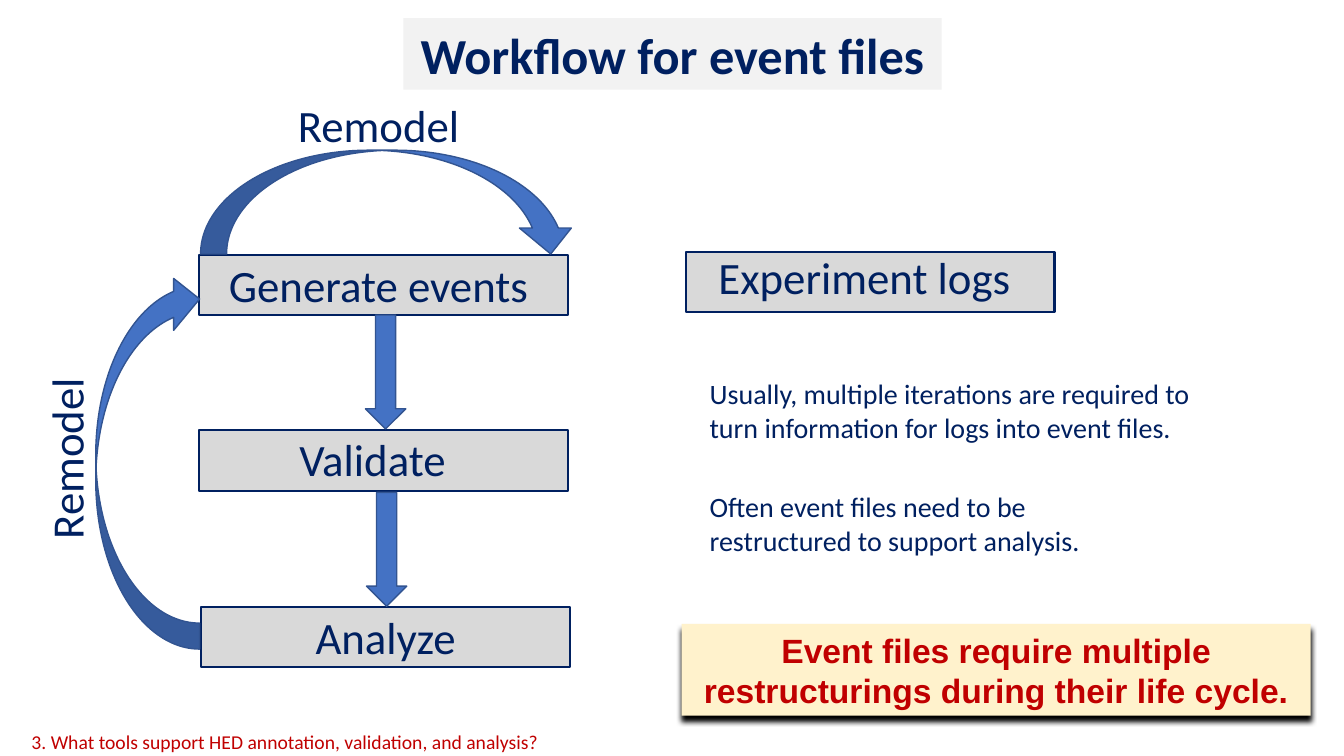
import pptx
import pptx.util
import pptx.dml.color
import pptx.enum.shapes
import pptx.enum.text
import pptx.oxml
import pptx.oxml.ns

Inches = pptx.util.Inches
Pt = pptx.util.Pt
Kind = pptx.enum.shapes.MSO_SHAPE
Align = pptx.enum.text.PP_ALIGN
Anchor = pptx.enum.text.MSO_ANCHOR

COLORS = {
    "navy": "002060",
    "red": "C00000",
    "box": "D9D9D9",
    "title": "F2F2F2",
    "cream": "FFF2CC",
    "blue": "4472C4",
    "edge": "325491",
}
BOX_W, BOX_H = 3.66, 0.6
TEXT_H = 0.64


def color(name):
    return pptx.dml.color.RGBColor.from_string(COLORS[name])


def paint(shape, fill, line=None, width=1):
    shape.fill.solid()
    shape.fill.fore_color.rgb = color(fill)
    if line:
        shape.line.color.rgb = color(line)
        shape.line.width = Pt(width)
    else:
        shape.line.fill.background()


def write(shape, text, size, ink="navy", align=Align.CENTER,
          face="Calibri", bold=False, anchor=Anchor.TOP):
    frame = shape.text_frame
    frame.word_wrap = True
    frame.auto_size = pptx.enum.text.MSO_AUTO_SIZE.NONE
    frame.vertical_anchor = anchor
    frame.text = text
    para = frame.paragraphs[0]
    para.alignment = align
    font = para.runs[0].font
    font.name = face
    font.size = Pt(size)
    font.bold = bold
    font.color.rgb = color(ink)


def add_shape(shapes, kind, area, fill, line=None, width=1):
    shape = shapes.add_shape(kind, *map(Inches, area))
    shape.shadow.inherit = False
    paint(shape, fill, line, width)
    return shape


def add_text(shapes, text, area, size, turn=0, **style):
    box = shapes.add_textbox(*map(Inches, area))
    box.rotation = turn
    write(box, text, size, **style)


def add_step(shapes, text, left, top, area):
    group = shapes.add_group_shape()
    add_shape(group.shapes, Kind.RECTANGLE, (left, top, BOX_W, BOX_H),
              "box", "navy", 1.5)
    add_text(group.shapes, text, area, 32)


def add_arrow(shapes, left, top):
    arrow = add_shape(shapes, Kind.LEFT_ARROW, (left, top, 1.13, 0.4),
                      "blue", "edge")
    arrow.rotation = 270


def add_loop(shapes, left, top, turn=0):
    loop = add_shape(shapes, Kind.CURVED_RIGHT_ARROW,
                     (left, top, 1.03, 3.73), "blue", "edge")
    loop.rotation = turn
    loop._element.spPr.xfrm.set("flipV", "1")


def add_title(slide, text):
    title = slide.shapes.title
    title.left, title.top = Inches(4), Inches(0.18)
    title.width, title.height = Inches(5.34), Inches(0.71)
    paint(title, "title")
    write(title, text, 36, bold=True, anchor=Anchor.MIDDLE)


def add_callout(shapes, text):
    box = add_shape(shapes, Kind.RECTANGLE, (6.76, 6.19, 6.24, 0.91), "cream")
    effects = box._element.spPr.find(pptx.oxml.ns.qn("a:effectLst"))
    effects.append(pptx.oxml.parse_xml(
        f'<a:outerShdw {pptx.oxml.ns.nsdecls("a")} blurRad="50800" '
        'dist="50800" dir="5400000" algn="t" rotWithShape="0">'
        '<a:srgbClr val="000000"/></a:outerShdw>'))
    write(box, text, 24, ink="red", face="Arial", bold=True,
          anchor=Anchor.MIDDLE)


def main():
    deck = pptx.Presentation()
    deck.slide_width = Inches(13.33)
    deck.slide_height = Inches(7.5)
    slide = deck.slides.add_slide(deck.slide_layouts[5])
    shapes = slide.shapes
    add_title(slide, "Workflow for event files")

    for text, left, top, area in (
        ("Generate events", 1.97, 2.53, (2.16, 2.51, 3.19, TEXT_H)),
        ("Experiment logs", 6.8, 2.5, (6.68, 2.43, 3.79, TEXT_H)),
        ("Validate", 1.97, 4.27, (2.62, 4.23, 2.15, TEXT_H)),
        ("Analyze", 1.99, 6.02, (2.75, 6, 2.15, TEXT_H)),
    ):
        add_step(shapes, text, left, top, area)

    add_arrow(shapes, 3.26, 3.49)
    add_arrow(shapes, 3.27, 5.25)
    add_loop(shapes, 0.95, 2.71)
    add_loop(shapes, 3.34, 0.14, 90)
    add_text(shapes, "Remodel", (2.68, 0.92, 2.15, TEXT_H), 32)
    add_text(shapes, "Remodel", (-0.42, 4.23, 2.15, TEXT_H), 32, 270)

    add_text(shapes, "Usually, multiple iterations are required to turn "
             "information for logs into event files.",
             (6.94, 3.69, 5.27, 0.77), 20, align=Align.LEFT)
    add_text(shapes, "Often event files need to be restructured to "
             "support analysis.",
             (6.94, 4.81, 4.56, 0.77), 20, align=Align.LEFT)
    add_callout(shapes, "Event files require multiple restructurings "
                "during their life cycle.")
    add_text(shapes, "3. What tools support HED annotation, validation, "
             "and analysis?", (0, 7.19, 5.44, 0.34), 14,
             ink="red", align=Align.RIGHT)
    deck.save("out.pptx")


if __name__ == "__main__":
    main()
